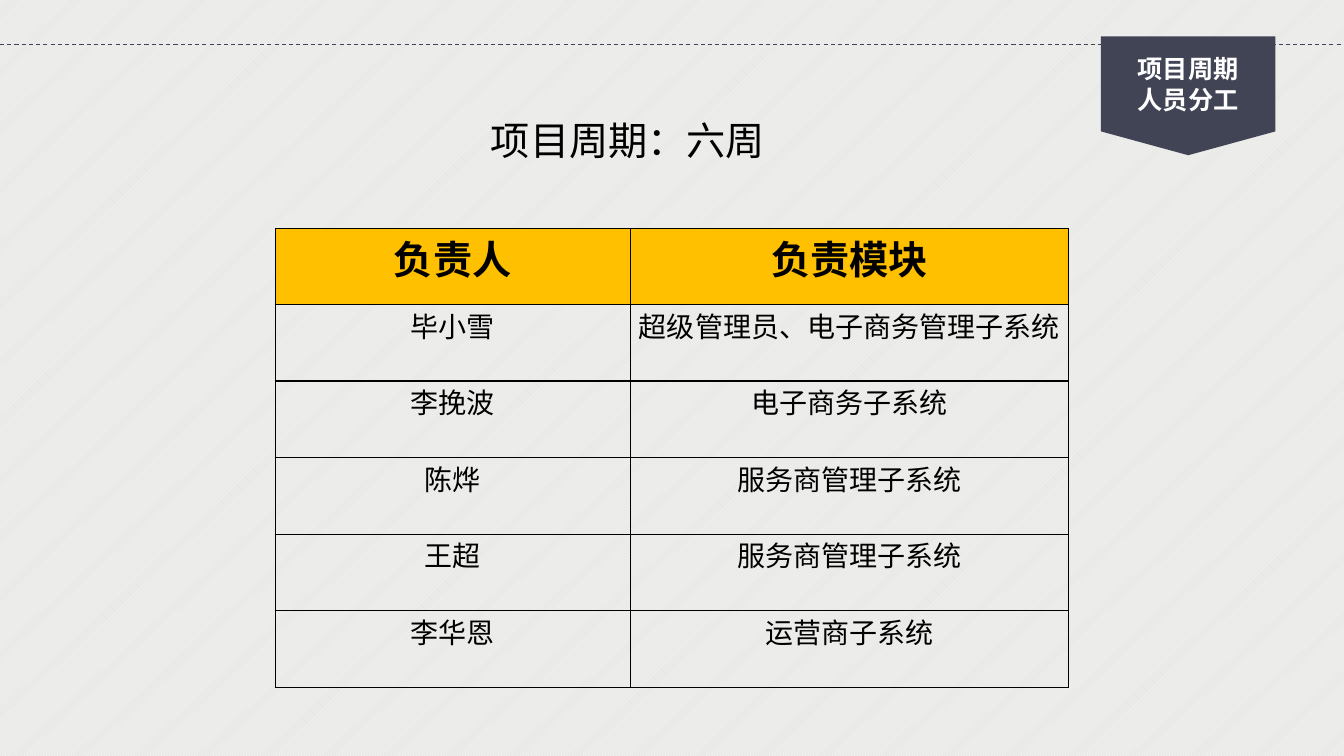
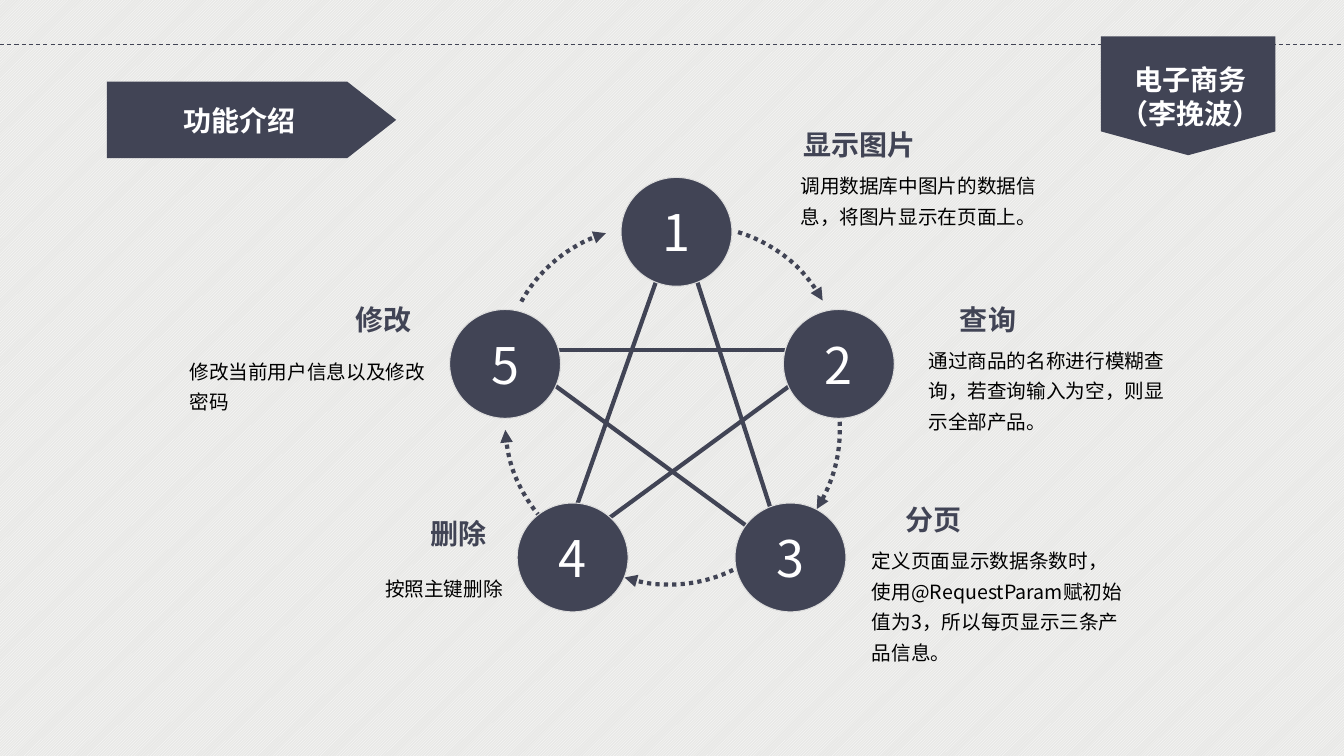
from lxml import etree
from pptx import Presentation
from pptx import util as u
from pptx.dml.color import RGBColor
from pptx.enum import dml, shapes, text
from pptx.oxml import ns

PX = 9144
W, H = 1333, 750
FONT = "Noto Sans CJK SC"
C = {"navy": "414455", "white": "FFFFFF", "black": "000000",
     "paper": "E8E8E6", "rim": "DDDDDD", "gold": "FFC000"}
CENTER, LEFT = text.PP_ALIGN.CENTER, text.PP_ALIGN.LEFT
MIDDLE = text.MSO_ANCHOR.MIDDLE
SHAPE = shapes.MSO_SHAPE


def paint(sp, fill=None, line=None, width=0.75, dash=None):
    if fill:
        sp.fill.solid()
        sp.fill.fore_color.rgb = RGBColor.from_string(C[fill])
    if line:
        sp.line.color.rgb = RGBColor.from_string(C[line])
        sp.line.width = u.Pt(width)
        if dash:
            sp.line.dash_style = dash
    else:
        sp.line.fill.background()
    etree.SubElement(sp._element.spPr, ns.qn("a:effectLst"))


def write(tf, words, size, color, bold=False, align=CENTER, wrap=True, spacing=None, latin=FONT):
    tf.text = words
    tf.word_wrap = wrap
    for p in tf.paragraphs:
        p.alignment = align
        if spacing:
            p.line_spacing = spacing
        for r in p.runs:
            r.font.size = u.Pt(size)
            r.font.bold = bold
            r.font.color.rgb = RGBColor.from_string(C[color])
            r.font.name = latin
            etree.SubElement(r.font._element, ns.qn("a:ea"), typeface=FONT)


prs = Presentation()
prs.slide_width, prs.slide_height = W * PX, H * PX
bg = prs.slide_master.background.fill
bg.patterned()
bg.pattern = dml.MSO_PATTERN.LIGHT_UPWARD_DIAGONAL
bg.fore_color.rgb = RGBColor.from_string(C["white"])
bg.back_color.rgb = RGBColor.from_string(C["paper"])

tags = []
for _ in range(2):
    s = prs.slides.add_slide(prs.slide_layouts[6])
    rule = s.shapes.add_connector(shapes.MSO_CONNECTOR.STRAIGHT, 0, 44 * PX, W * PX, 44 * PX)
    paint(rule, line="navy", dash=dml.MSO_LINE.DASH)
    tag = s.shapes.add_shape(SHAPE.FLOWCHART_OFFPAGE_CONNECTOR,
                             1092 * PX, 36 * PX, 173 * PX, 118 * PX)
    paint(tag, "navy")
    tags.append(tag)
team, features = prs.slides

write(tags[0].text_frame, "项目周期\n人员分工", 18, "white", bold=True)
tags[0].text_frame.vertical_anchor = MIDDLE

period = team.shapes.add_textbox(477 * PX, 110 * PX, 292 * PX, 57 * PX)
write(period.text_frame, "项目周期：六周", 28, "black", align=LEFT, wrap=False)
period.text_frame.vertical_anchor = MIDDLE

rows = [
    ("负责人", "负责模块"),
    ("毕小雪", "超级管理员、电子商务管理子系统"),
    ("李挽波", "电子商务子系统"),
    ("陈烨", "服务商管理子系统"),
    ("王超", "服务商管理子系统"),
    ("李华恩", "运营商子系统"),
]
table = team.shapes.add_table(len(rows), 2, 273 * PX, 227 * PX, 787 * PX, 455 * PX).table
table.first_row = table.horz_banding = False
for col, width in zip(table.columns, (352, 435)):
    col.width = width * PX
for i, row in enumerate(rows):
    head = i == 0
    table.rows[i].height = (75 if head else 76) * PX
    for j, words in enumerate(row):
        cell = table.cell(i, j)
        cell.margin_left = cell.margin_right = 7 * PX
        cell.margin_top = cell.margin_bottom = 0
        write(cell.text_frame, words, 28 if head else 20, "black",
              bold=head, latin="Times New Roman")
        tcPr = cell._tc.get_or_add_tcPr()
        for side in ("lnL", "lnR", "lnT", "lnB"):
            ln = etree.SubElement(tcPr, ns.qn("a:" + side), w=str(u.Pt(1)))
            solid = etree.SubElement(ln, ns.qn("a:solidFill"))
            etree.SubElement(solid, ns.qn("a:srgbClr"), val=C["black"])
        if head:
            cell.fill.solid()
            cell.fill.fore_color.rgb = RGBColor.from_string(C["gold"])
        else:
            cell.fill.background()

owner = features.shapes.add_textbox(1096 * PX, 57 * PX, 169 * PX, 77 * PX)
write(owner.text_frame, "电子商务（李挽波）", 20, "white", bold=True)

plate = features.shapes.add_shape(SHAPE.PENTAGON, 106 * PX, 81 * PX, 287 * PX, 76 * PX)
plate.adjustments[0] = 0.64
paint(plate, "navy")
write(plate.text_frame, "功能介绍", 20, "white", bold=True, wrap=False)
plate.text_frame.vertical_anchor = MIDDLE

star = [(672, 219), (832, 347), (779, 550), (555, 550), (502, 347)]
for i, (x, y) in enumerate(star):
    x2, y2 = star[(i + 2) % len(star)]
    edge = features.shapes.add_connector(shapes.MSO_CONNECTOR.STRAIGHT,
                                         x * PX, y * PX, x2 * PX, y2 * PX)
    paint(edge, line="navy", width=3)

SWEEP = 44
arcs = [(690, 368, 144, 287), (682, 425, 151, 348), (664, 436, 144, 64),
        (645, 419, 144, 133), (643, 369, 144, 209)]
for cx, cy, radius, start in arcs:
    arc = features.shapes.add_shape(SHAPE.ARC, (cx - radius) * PX, (cy - radius) * PX,
                                    2 * radius * PX, 2 * radius * PX)
    arc.adjustments[0] = start * 0.6
    arc.adjustments[1] = (start + SWEEP) % 360 * 0.6
    arc.fill.background()
    paint(arc, line="navy", width=3, dash=dml.MSO_LINE.ROUND_DOT)
    ln = arc._element.spPr.find(ns.qn("a:ln"))
    etree.SubElement(ln, ns.qn("a:tailEnd"), type="triangle")

items = [
    ((616, 176), "显示图片", (787, 122, 131),
     "调用数据库中图片的数据信息，将图片显示在页面上。", (784, 161, 268, 71)),
    ((777, 307), "查询", (942, 295, 76),
     "通过商品的名称进行模糊查询，若查询输入为空，则显示全部产品。", (911, 334, 268, 102)),
    ((729, 499), "分页", (888, 494, 76),
     "定义页面显示数据条数时，使用@RequestParam赋初始值为3，所以每页显示三条产品信息。",
     (855, 533, 268, 132)),
    ((513, 499), "删除", (417, 508, 76), "按照主键删除", (372, 560, 141, 41)),
    ((446, 307), "修改", (342, 295, 76),
     "修改当前用户信息以及修改密码", (178, 345, 268, 71)),
]
for n, ((x, y), title, (tx, ty, tw), body, box) in enumerate(items, 1):
    node = features.shapes.add_shape(SHAPE.OVAL, x * PX, y * PX, 110 * PX, 108 * PX)
    paint(node, "navy", "rim")
    write(node.text_frame, str(n), 36, "white", wrap=False)
    node.text_frame.vertical_anchor = MIDDLE
    heading = features.shapes.add_textbox(tx * PX, ty * PX, tw * PX, 44 * PX)
    write(heading.text_frame, title, 20, "navy", bold=True, wrap=False)
    detail = features.shapes.add_textbox(*(v * PX for v in box))
    write(detail.text_frame, body, 14, "black", align=LEFT, spacing=1.3)

prs.save("out.pptx")
